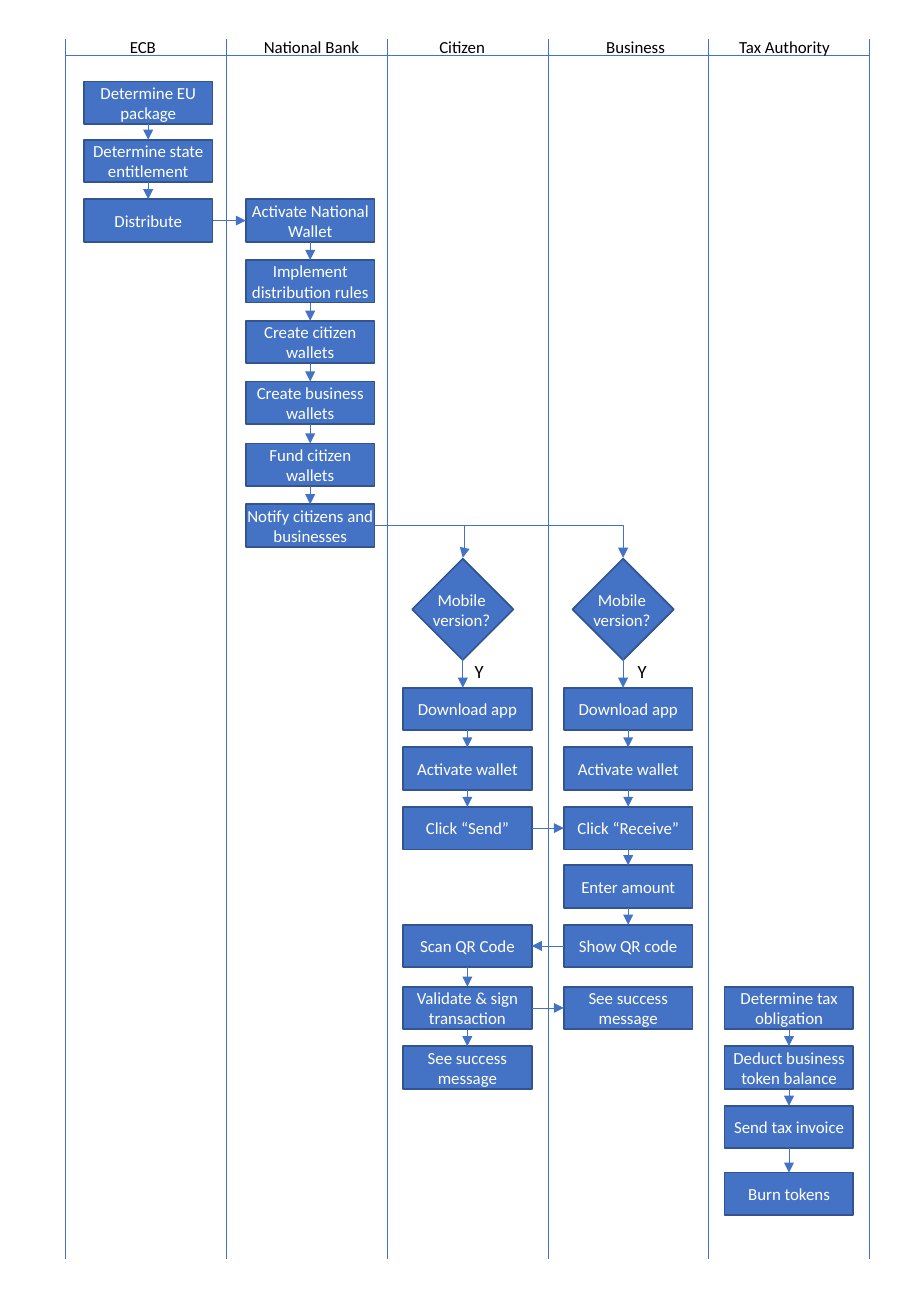
from lxml import etree
from pptx import Presentation
from pptx.dml.color import RGBColor
from pptx.enum.shapes import MSO_CONNECTOR, MSO_SHAPE
from pptx.enum.text import MSO_ANCHOR, PP_ALIGN
from pptx.oxml.ns import qn
from pptx.util import Inches, Pt

RECTANGLE = MSO_SHAPE.RECTANGLE
STRAIGHT, ELBOW = MSO_CONNECTOR.STRAIGHT, MSO_CONNECTOR.ELBOW
LEFT, CENTER = PP_ALIGN.LEFT, PP_ALIGN.CENTER
TOP, MIDDLE = MSO_ANCHOR.TOP, MSO_ANCHOR.MIDDLE

BLUE = RGBColor(0x44, 0x72, 0xC4)
NAVY = RGBColor(0x32, 0x54, 0x91)
WHITE = RGBColor(0xFF, 0xFF, 0xFF)
BLACK = RGBColor(0, 0, 0)

SLIDE_W, SLIDE_H = 7.5, 10.83
CHART_LEFT, CHART_TOP, CHART_W, CHART_H = 0.54, 0.32, 6.62, 10.04
HEADER_LINE = 0.46
HEADER_TOP, HEADER_H = 0.25, 0.27
STEP_W, STEP_H = 1.06, 0.35
ROWS = (0.67, 1.15, 1.64, 2.14, 2.64, 3.14, 3.65, 4.15,
        5.66, 6.15, 6.64, 7.12, 7.61, 8.12, 8.61, 9.1, 9.65)
DECISION_SIZE, DECISION_TOP, DECISION_TIP = 0.59, 4.72, 4.59

LANES = (
    ("ECB", 0.43, 0.42, 0.15, (
        (0, ("Determine EU package", "Determine state entitlement", "Distribute")),)),
    ("National Bank", 0.21, 1.01, 0.16, (
        (2, ("Activate National Wallet", "Implement distribution rules",
             "Create citizen wallets", "Create business wallets",
             "Fund citizen wallets", "Notify citizens and businesses")),)),
    ("Citizen", 0.33, 0.59, 0.13, (
        (8, ("Download app", "Activate wallet", "Click “Send”")),
        (12, ("Scan QR Code", "Validate & sign transaction", "See success message")))),
    ("Business", 0.38, 0.7, 0.13, (
        (8, ("Download app", "Activate wallet", "Click “Receive”",
             "Enter amount", "Show QR code")),
        (13, ("See success message",)))),
    ("Tax Authority", 0.15, 0.98, 0.13, (
        (13, ("Determine tax obligation", "Deduct business token balance",
              "Send tax invoice", "Burn tokens")),)),
)
LANE_W = CHART_W / len(LANES)
HANDOVERS = ((0, 1, 2), (2, 3, 10), (3, 2, 12), (2, 3, 13))
NOTIFY_ROW, DOWNLOAD_ROW = 7, 8
DECISIONS = ((2, 3.81, 1.02, 0), (3, 5.13, 1, 0.02))


def write(frame, text, size=10, color=BLACK, align=LEFT, anchor=TOP,
          wrap=False, margin=None):
    frame.word_wrap = wrap
    frame.vertical_anchor = anchor
    if margin is not None:
        frame.margin_left = frame.margin_right = margin
        frame.margin_top = frame.margin_bottom = margin
    for index, line in enumerate(text.split("\n")):
        paragraph = frame.add_paragraph() if index else frame.paragraphs[0]
        paragraph.alignment = align
        run = paragraph.add_run()
        run.text = line
        run.font.name = "Calibri"
        run.font.size = Pt(size)
        run.font.color.rgb = color


def add_label(slide, box, text, **style):
    label = slide.shapes.add_textbox(*map(Inches, box))
    write(label.text_frame, text, **style)


def add_block(slide, box):
    block = slide.shapes.add_shape(RECTANGLE, *map(Inches, box))
    block.shadow.inherit = False
    block.fill.solid()
    block.fill.fore_color.rgb = BLUE
    block.line.color.rgb = NAVY
    block.line.width = Pt(1)
    return block


def add_line(slide, start, end, arrow=True, bend=None):
    kind = STRAIGHT if bend is None else ELBOW
    link = slide.shapes.add_connector(kind, *map(Inches, (*start, *end)))
    link.line.color.rgb = BLUE
    link.line.width = Pt(0.5)
    properties = link._element.spPr
    if arrow:
        etree.SubElement(properties.find(qn("a:ln")), qn("a:tailEnd"), type="triangle")
    if bend is not None:
        guides = properties.find(qn("a:prstGeom")).find(qn("a:avLst"))
        etree.SubElement(guides, qn("a:gd"), name="adj1",
                         fmla=f"val {round(bend * 100000)}")
    etree.SubElement(properties, qn("a:effectLst"))


def lane_left(lane):
    return CHART_LEFT + lane * LANE_W


def step_box(lane, row):
    return lane_left(lane) + LANES[lane][3], ROWS[row], STEP_W, STEP_H


def draw_frame(slide, box):
    left, top, width, height = box
    for edge in range(len(LANES) + 1):
        x = left + edge * width / len(LANES)
        add_line(slide, (x, top), (x, top + height), arrow=False)
    add_line(slide, (left + width, HEADER_LINE), (left, HEADER_LINE), arrow=False)


def draw_step(slide, box, text):
    write(add_block(slide, box).text_frame, text, color=WHITE, align=CENTER,
          anchor=MIDDLE, wrap=True, margin=0)


def draw_lane(slide, lane):
    title, title_left, title_w, _, chains = LANES[lane]
    add_label(slide, (lane_left(lane) + title_left, HEADER_TOP, title_w, HEADER_H), title)
    for first_row, steps in chains:
        for row, text in enumerate(steps, first_row):
            box = step_box(lane, row)
            draw_step(slide, box, text)
            if row > first_row:
                x = box[0] + STEP_W / 2
                add_line(slide, (x, ROWS[row - 1] + STEP_H), (x, ROWS[row]))


def draw_handover(slide, source, target, row):
    source_left = step_box(source, row)[0]
    target_left = step_box(target, row)[0]
    y = ROWS[row] + STEP_H / 2
    if source < target:
        add_line(slide, (source_left + STEP_W, y), (target_left, y))
    else:
        add_line(slide, (source_left, y), (target_left + STEP_W, y))


def draw_decision(slide, box, bend, answer_shift):
    left, top, size, _ = box
    center = left + size / 2
    add_block(slide, box).rotation = 45
    add_label(slide, (center - 0.35, top + 0.08, 0.68, 0.44), "Mobile\nversion?",
              color=WHITE, align=CENTER)
    notify_left, notify_top, notify_w, notify_h = step_box(1, NOTIFY_ROW)
    add_line(slide, (notify_left + notify_w, notify_top + notify_h / 2),
             (center, DECISION_TIP), bend=bend)
    add_line(slide, (center, top + size + 0.08), (center, ROWS[DOWNLOAD_ROW]))
    add_label(slide, (center + answer_shift, top + size + 0.07, 0.28, 0.29), "Y", size=11)


presentation = Presentation()
presentation.slide_width = Inches(SLIDE_W)
presentation.slide_height = Inches(SLIDE_H)
process = presentation.slides.add_slide(presentation.slide_layouts[6])
draw_frame(process, (CHART_LEFT, CHART_TOP, CHART_W, CHART_H))
for lane_index in range(len(LANES)):
    draw_lane(process, lane_index)
for handover in HANDOVERS:
    draw_handover(process, *handover)
for _, decision_x, route_bend, shift in DECISIONS:
    draw_decision(process, (decision_x - DECISION_SIZE / 2, DECISION_TOP,
                            DECISION_SIZE, DECISION_SIZE), route_bend, shift)
presentation.save("out.pptx")
